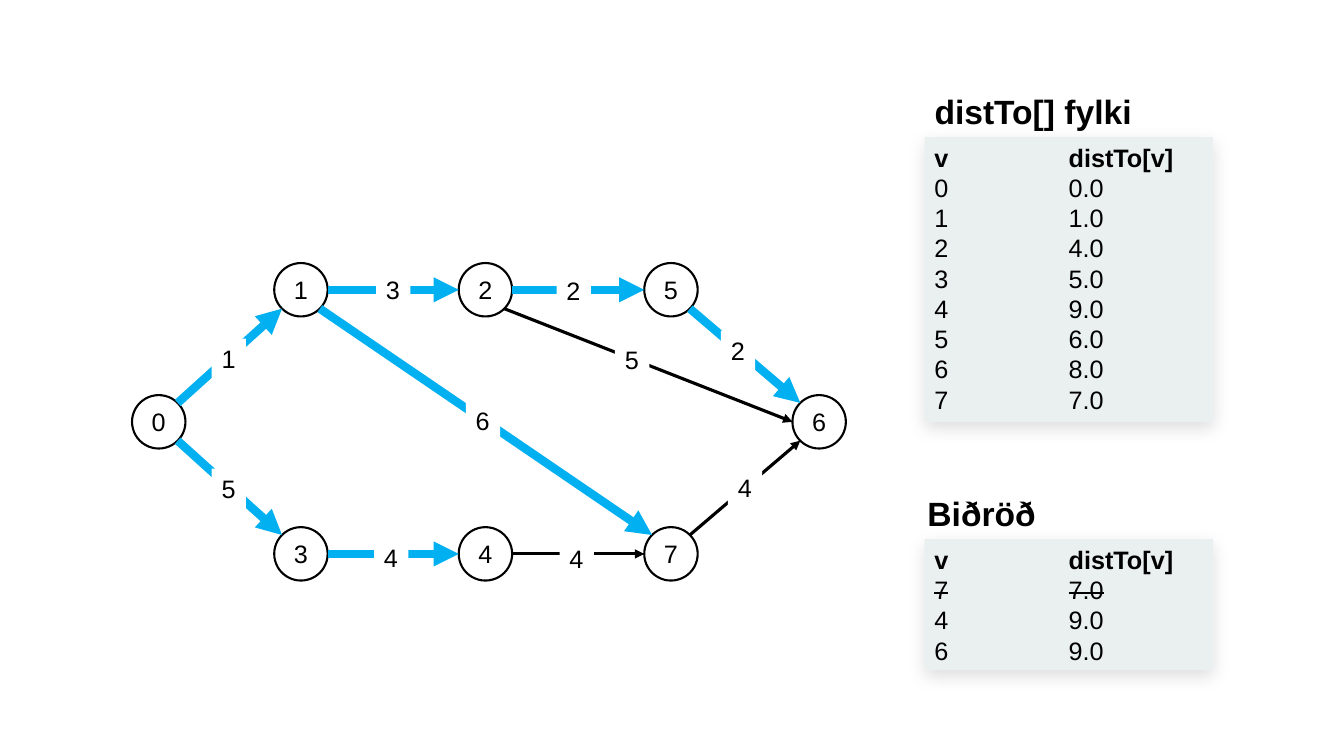
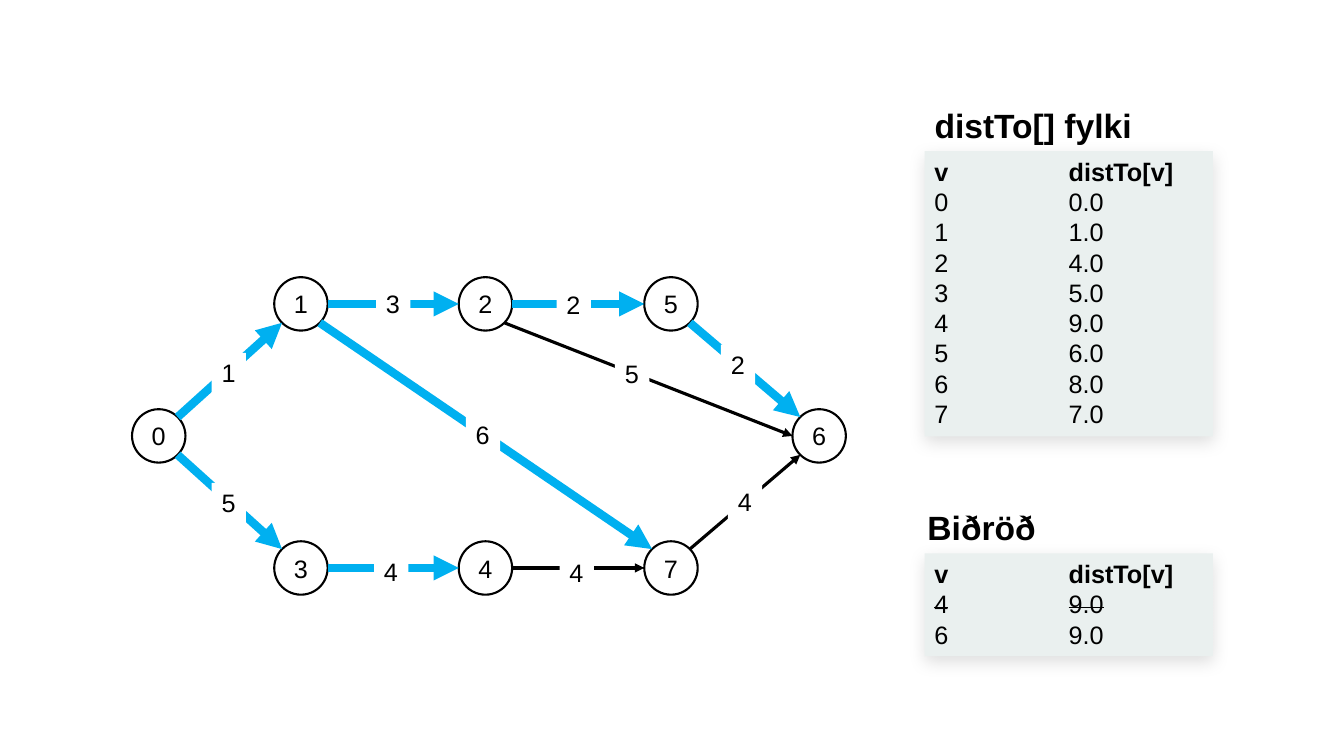
from math import hypot

from lxml.etree import SubElement
from pptx import Presentation
from pptx.dml.color import RGBColor
from pptx.enum.shapes import MSO_CONNECTOR, MSO_SHAPE
from pptx.enum.text import MSO_ANCHOR, MSO_AUTO_SIZE, PP_ALIGN
from pptx.oxml.ns import qn
from pptx.util import Inches, Pt

FONT, BLACK, WHITE, BLUE, PANEL = "Arial", "000000", "FFFFFF", "00B0F0", "EAF0EF"
HEADER = ("v", "distTo[v]")
DISTANCES = [("0", "0.0"), ("1", "1.0"), ("2", "4.0"), ("3", "5.0"), ("4", "9.0"),
             ("5", "6.0"), ("6", "8.0"), ("7", "7.0")]

# Per slide: downward shift, queue panel height, queue rows (the first is struck out)
SLIDES = [
    (0, 1.3, [("7", "7.0"), ("4", "9.0"), ("6", "9.0")]),
    (0.14, 1.02, [("4", "9.0"), ("6", "9.0")]),
]

DIAMETER = 0.53
TOP, MIDDLE, BOTTOM = 2.61, 3.92, 5.23
NODES = {"0": (1.31, MIDDLE), "1": (2.72, TOP), "3": (2.72, BOTTOM), "2": (4.55, TOP),
         "4": (4.55, BOTTOM), "5": (6.39, TOP), "7": (6.39, BOTTOM), "6": (7.86, MIDDLE)}

# Directions in which an edge leaves or meets a node
E, W, NE, NW, SE, SW = (1, 0), (-1, 0), (1, -1), (-1, -1), (1, 1), (-1, 1)

# From, side, to, side, in shortest-path tree, weight, weight position
EDGES = [
    ("0", NE, "1", SW, True, "1", (2.1, 3.36)),
    ("1", E, "2", W, True, "3", (3.73, 2.67)),
    ("2", E, "5", W, True, "2", (5.52, 2.68)),
    ("5", SE, "6", NW, True, "2", (7.15, 3.28)),
    ("0", SE, "3", NW, True, "5", (2.1, 4.65)),
    ("3", E, "4", W, True, "4", (3.71, 5.33)),
    ("4", E, "7", W, False, "4", (5.55, 5.34)),
    ("7", NE, "6", SW, False, "4", (7.22, 4.64)),
    ("1", SE, "7", NW, True, "6", (4.62, 3.97)),
    ("2", SE, "6", W, False, "5", (6.1, 3.37)),
]


def rgb(value):
    """Turn a hex string into a colour."""
    return RGBColor.from_string(value)


def add_text(p, text, size=18, bold=False, strike=False):
    """Add one run to a paragraph."""
    r = p.add_run()
    r.text = text
    r.font.name, r.font.size, r.font.bold = FONT, Pt(size), bold
    r.font.color.rgb = rgb(BLACK)
    if strike:
        r._r.get_or_add_rPr().set("strike", "sngStrike")


def add_box(s, kind, x, y, w, h, fill):
    """Add a filled preset shape without line or shadow."""
    sp = s.shapes.add_shape(kind, Inches(x), Inches(y), Inches(w), Inches(h))
    sp.shadow.inherit = False
    sp.fill.solid()
    sp.fill.fore_color.rgb = rgb(fill)
    sp.line.fill.background()
    sp.text_frame.vertical_anchor = MSO_ANCHOR.TOP
    return sp


def fit(tf):
    """Let a single-line shape hug its text."""
    tf.word_wrap = False
    tf.auto_size = MSO_AUTO_SIZE.SHAPE_TO_FIT_TEXT


def add_heading(s, text, x, y, w):
    """Add the heading above a panel."""
    sp = s.shapes.add_textbox(Inches(x), Inches(y), Inches(w), Inches(0.5))
    fit(sp.text_frame)
    add_text(sp.text_frame.paragraphs[0], text, 24, bold=True)


def add_panel(s, y, h, rows, struck=None):
    """Add a shadowed panel whose text flows in two columns."""
    sp = add_box(s, MSO_SHAPE.RECTANGLE, 9.17, y, 2.86, h, PANEL)
    effects = sp._element.spPr.find(qn("a:effectLst"))
    shadow = SubElement(effects, qn("a:outerShdw"), blurRad=str(Pt(12.5)),
                        dist=str(Pt(4)), dir="5400000", algn="t", rotWithShape="0")
    color = SubElement(shadow, qn("a:srgbClr"), val=BLACK)
    SubElement(color, qn("a:alpha"), val="13000")
    tf = sp.text_frame
    tf.word_wrap = True
    tf.auto_size = MSO_AUTO_SIZE.SHAPE_TO_FIT_TEXT
    tf._txBody.bodyPr.set("numCol", "2")
    for column in zip(HEADER, *rows):
        for i, text in enumerate(column):
            p = tf.paragraphs[0] if not tf.text else tf.add_paragraph()
            p.alignment = PP_ALIGN.LEFT
            add_text(p, text, bold=i == 0, strike=i == struck)


def add_node(s, name, x, y):
    """Add a numbered graph node."""
    sp = add_box(s, MSO_SHAPE.OVAL, x, y, DIAMETER, DIAMETER, WHITE)
    sp.line.color.rgb = rgb(BLACK)
    sp.line.width = Pt(1.5)
    tf = sp.text_frame
    tf.vertical_anchor = MSO_ANCHOR.MIDDLE
    tf.paragraphs[0].alignment = PP_ALIGN.CENTER
    add_text(tf.paragraphs[0], name)


def rim(name, side, dy):
    """Return the point on a node's rim in the given direction."""
    r = DIAMETER / 2
    return [Inches(c + r + r * d / hypot(*side) + shift)
            for c, d, shift in zip(NODES[name], side, (0, dy))]


def add_edge(s, start, end, in_tree):
    """Add an arrow, thick and blue when it is in the tree."""
    c = s.shapes.add_connector(MSO_CONNECTOR.STRAIGHT, *start, *end)
    c.line.color.rgb = rgb(BLUE if in_tree else BLACK)
    c.line.width = Pt(6 if in_tree else 2.25)
    SubElement(c.line._get_or_add_ln(), qn("a:tailEnd"), type="triangle")
    SubElement(c._element.spPr, qn("a:effectLst"))


def add_weight(s, text, x, y):
    """Add an edge weight on a white patch."""
    sp = add_box(s, MSO_SHAPE.RECTANGLE, x, y, 0.34, 0.4, WHITE)
    fit(sp.text_frame)
    p = sp.text_frame.paragraphs[0]
    p.alignment = PP_ALIGN.LEFT
    add_text(p, text)


def build_slide(prs, dy, queue_height, queue):
    """Draw the graph with its distance array and queue."""
    s = prs.slides.add_slide(prs.slide_layouts[6])
    add_panel(s, 1.36 + dy, 2.83, DISTANCES)
    add_panel(s, 5.35 + dy, queue_height, queue, struck=1)
    add_heading(s, "distTo[] fylki", 9.17, 0.85 + dy, 2.18)
    add_heading(s, "Biðröð", 9.1, 4.84 + dy, 1.29)
    for name, (x, y) in NODES.items():
        add_node(s, name, x, y + dy)
    for a, a_side, b, b_side, in_tree, _, _ in EDGES:
        add_edge(s, rim(a, a_side, dy), rim(b, b_side, dy), in_tree)
    for *_, weight, (x, y) in EDGES:
        add_weight(s, weight, x, y + dy)


prs = Presentation()
prs.slide_width, prs.slide_height = Inches(13.33), Inches(7.5)
for slide in SLIDES:
    build_slide(prs, *slide)
prs.save("out.pptx")
